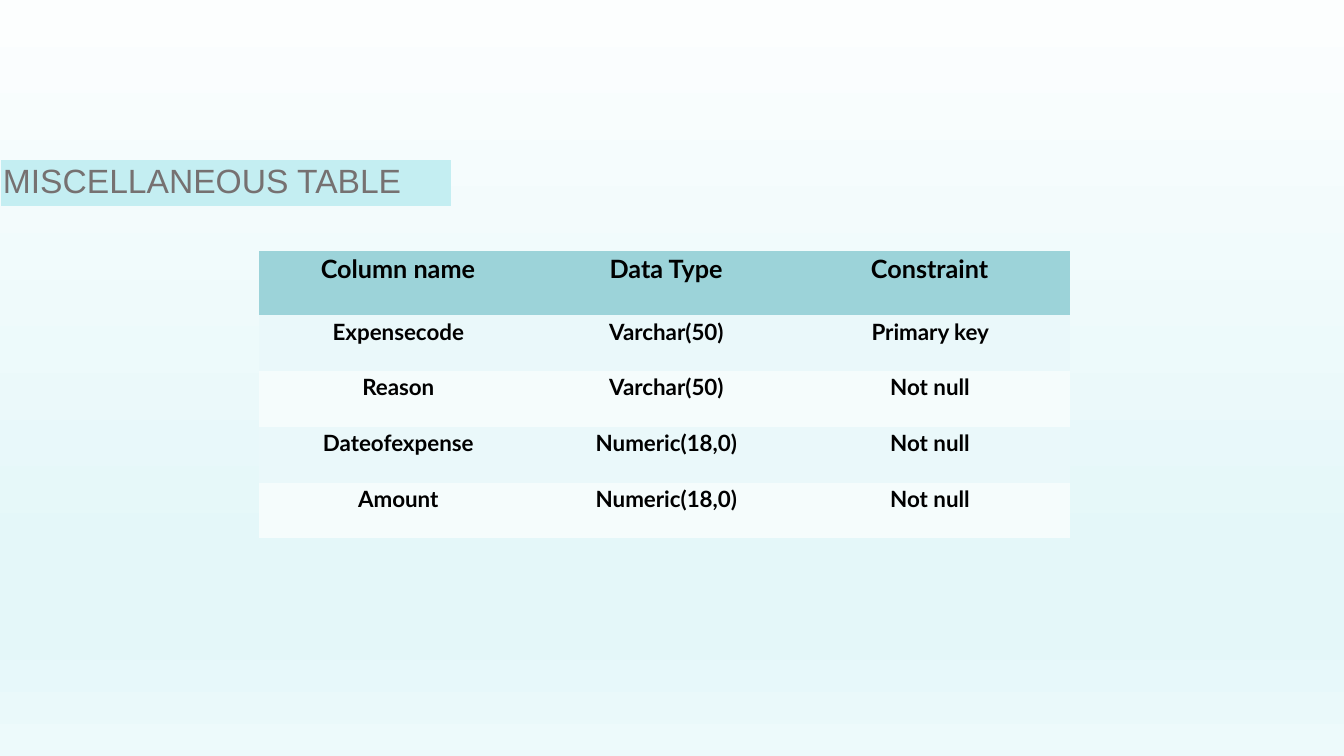
from dataclasses import dataclass

from lxml.etree import SubElement
from pptx import Presentation
from pptx.dml.color import RGBColor
from pptx.enum.shapes import MSO_SHAPE
from pptx.enum.text import MSO_ANCHOR, PP_ALIGN
from pptx.oxml.ns import qn
from pptx.util import Pt


@dataclass(frozen=True)
class Theme:
    background_stops: tuple = ((0, "FCFEFE"), (74, "E4F7F9"), (83, "E4F7F9"), (100, "EDFAFB"))
    banner: str = "C4EEF2"
    title: str = "767171"
    body: str = "000000"
    header_fill: str = "9CD3D9"
    band_fills: tuple = ("EAF8FA", "F5FCFC")
    title_font: str = "Arial"
    table_font: str = "Lato"
    title_size: int = 24
    header_size: int = 18
    body_size: int = 16
    table_style: str = "{2D5ABB26-0587-4C30-8999-92F81FD0307C}"  # no style, no grid


ROWS = (
    ("Column name", "Data Type", "Constraint"),
    ("Expensecode", "Varchar(50)", "Primary key"),
    ("Reason", "Varchar(50)", "Not null"),
    ("Dateofexpense", "Numeric(18,0)", "Not null"),
    ("Amount", "Numeric(18,0)", "Not null"),
)
COLUMN_WIDTHS = (203, 180, 196.5)
ROW_HEIGHTS = (46,) + (39.8,) * 4


class SlideBuilder:
    def __init__(self, slide, theme):
        self.slide = slide
        self.theme = theme

    def background(self):
        fill = self.slide.background.fill
        fill.gradient()
        fill.gradient_angle = 270
        stop_list = self.slide.element.find(".//" + qn("a:gsLst"))
        for stop in list(stop_list):
            stop_list.remove(stop)
        for percent, color in self.theme.background_stops:
            stop = SubElement(stop_list, qn("a:gs"), pos=str(percent * 1000))
            SubElement(stop, qn("a:srgbClr"), val=color)

    def banner(self, left, top, width, height):
        shape = self.slide.shapes.add_shape(
            MSO_SHAPE.MATH_MINUS, Pt(left), Pt(top), Pt(width), Pt(height))
        shape.shadow.inherit = False
        shape.fill.solid()
        shape.fill.fore_color.rgb = RGBColor.from_string(self.theme.banner)
        shape.line.fill.background()

    def run(self, paragraph, text, font, size, color, bold=False):
        run = paragraph.add_run()
        run.text = text
        run.font.name = font
        run.font.size = Pt(size)
        run.font.bold = bold
        run.font.color.rgb = RGBColor.from_string(color)

    def title(self, text, left, top, width, height):
        box = self.slide.shapes.add_textbox(Pt(left), Pt(top), Pt(width), Pt(height))
        box.text_frame.word_wrap = True
        paragraph = box.text_frame.paragraphs[0]
        paragraph.line_spacing = 0.9
        self.run(paragraph, text, self.theme.title_font, self.theme.title_size, self.theme.title)

    def cell(self, cell, text, size, fill):
        cell.fill.solid()
        cell.fill.fore_color.rgb = RGBColor.from_string(fill)
        cell.margin_left = cell.margin_right = Pt(5.5)
        cell.margin_top, cell.margin_bottom = Pt(0.7), Pt(0)
        cell.vertical_anchor = MSO_ANCHOR.TOP
        paragraph = cell.text_frame.paragraphs[0]
        paragraph.alignment = PP_ALIGN.CENTER
        paragraph.line_spacing = 1.07
        paragraph.space_after = Pt(0.3)
        self.run(paragraph, text + " ", self.theme.table_font, size, self.theme.body, bold=True)

    def table(self, rows, left, top, column_widths, row_heights):
        frame = self.slide.shapes.add_table(
            len(rows), len(column_widths), Pt(left), Pt(top),
            Pt(sum(column_widths)), Pt(sum(row_heights)))
        table = frame.table
        table.horz_banding = False
        frame.element.find(".//" + qn("a:tableStyleId")).text = self.theme.table_style
        for column, width in zip(table.columns, column_widths):
            column.width = Pt(width)
        for index, (row, height, texts) in enumerate(zip(table.rows, row_heights, rows)):
            row.height = Pt(height)
            if index == 0:
                size, fill = self.theme.header_size, self.theme.header_fill
            else:
                size, fill = self.theme.body_size, self.theme.band_fills[(index - 1) % 2]
            for cell, text in zip(row.cells, texts):
                self.cell(cell, text, size, fill)


def main():
    presentation = Presentation()
    presentation.slide_width, presentation.slide_height = Pt(960), Pt(540)
    slide = presentation.slides.add_slide(presentation.slide_layouts[6])
    builder = SlideBuilder(slide, Theme())
    builder.background()
    builder.banner(-57.5, 61.2, 437.5, 139)
    builder.title("MISCELLANEOUS TABLE", -5, 113.8, 331, 40)
    builder.table(ROWS, 185, 179.3, COLUMN_WIDTHS, ROW_HEIGHTS)
    presentation.save("out.pptx")


if __name__ == "__main__":
    main()
